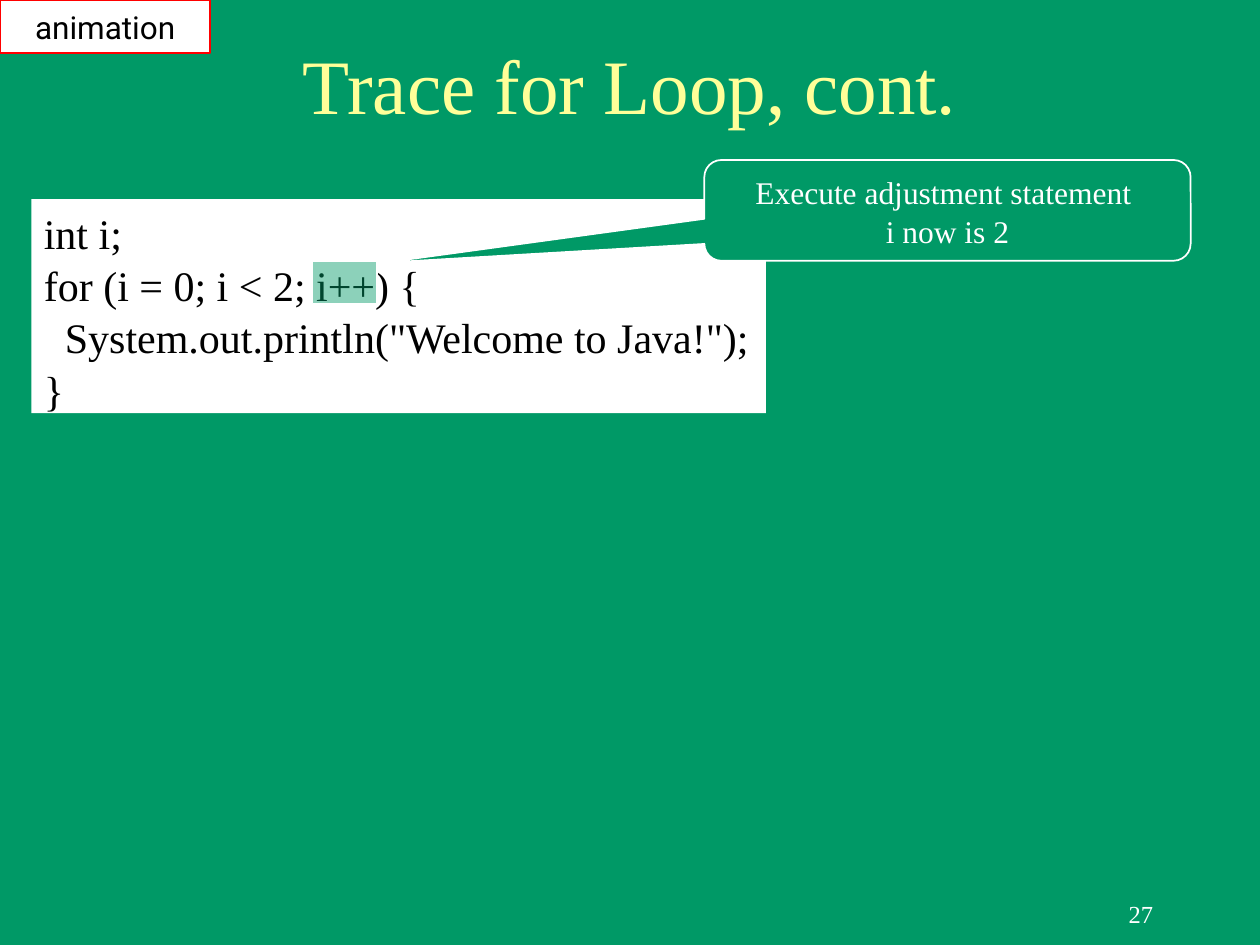
from pptx import Presentation, util as u
from pptx.dml.color import RGBColor
from pptx.enum import shapes, text
from pptx.oxml.ns import qn
from lxml import etree

SERIF = "Times New Roman"
GREEN, WHITE, YELLOW, BLACK, RED = "009966", "FFFFFF", "FFFF99", "000000", "FF0000"
LEFT, CENTER, RIGHT = text.PP_ALIGN.LEFT, text.PP_ALIGN.CENTER, text.PP_ALIGN.RIGHT
TOP, MIDDLE = text.MSO_ANCHOR.TOP, text.MSO_ANCHOR.MIDDLE
CODE = [
    "int i;",
    "for (i = 0; i < 2; i++) {",
    '  System.out.println("Welcome to Java!");',
    "}",
]


def color(value):
    return RGBColor.from_string(value)


def write(box, lines, size, ink, font=SERIF, align=CENTER, anchor=TOP,
          wrap=True, spacing=1.0):
    """Fill a box with one paragraph per line."""
    frame = box.text_frame
    frame.word_wrap = wrap
    frame.auto_size = text.MSO_AUTO_SIZE.NONE
    frame.vertical_anchor = anchor
    frame.margin_left = frame.margin_right = u.Inches(0.1)
    frame.margin_top = frame.margin_bottom = u.Inches(0.05)
    for index, line in enumerate(lines):
        para = frame.add_paragraph() if index else frame.paragraphs[0]
        para.alignment = align
        para.line_spacing = spacing
        span = para.add_run()
        span.text = line
        span.font.name = font
        span.font.size = u.Pt(size)
        span.font.color.rgb = color(ink)


def add_panel(page, kind, place, fill, line=None):
    """Add a filled shape, outlined only when a line colour is given."""
    panel = page.shapes.add_shape(kind, *map(u.Inches, place))
    panel.shadow.inherit = False
    panel.fill.solid()
    panel.fill.fore_color.rgb = color(fill)
    if line:
        panel.line.color.rgb = color(line)
        panel.line.width = u.Pt(1)
    else:
        panel.line.fill.background()
    return panel


def set_opacity(panel, percent):
    tint = panel.fill._xPr.find(qn("a:solidFill"))[0]
    etree.SubElement(tint, qn("a:alpha"), val=str(percent * 1000))


def add_title(page, words):
    title = page.shapes.title
    title.left, title.top = u.Inches(0.75), u.Inches(0.25)
    title.width, title.height = u.Inches(8.5), u.Inches(0.83)
    write(title, [words], 44, YELLOW, anchor=MIDDLE)


def add_page_number(page, number):
    box = page.shapes.add_textbox(*map(u.Inches, (7.17, 7, 2.08, 0.5)))
    write(box, [number], 14, WHITE, align=RIGHT, anchor=MIDDLE)


def main():
    deck = Presentation()
    deck.slide_width, deck.slide_height = u.Inches(10), u.Inches(7.5)
    page = deck.slides.add_slide(deck.slide_layouts[5])
    page.background.fill.solid()
    page.background.fill.fore_color.rgb = color(GREEN)
    rectangle = shapes.MSO_SHAPE.RECTANGLE

    add_page_number(page, "27")
    add_title(page, "Trace for Loop, cont.")

    # Code listing with the active expression highlighted
    listing = add_panel(page, rectangle, (0.25, 1.58, 5.83, 1.7), WHITE)
    write(listing, CODE, 24, BLACK, align=LEFT, spacing=1.04)
    highlight = add_panel(page, rectangle, (2.48, 2.07, 0.51, 0.34), GREEN, WHITE)
    set_opacity(highlight, 45)

    # Callout pointing at the highlight
    callout = add_panel(page, shapes.MSO_SHAPE.ROUNDED_RECTANGULAR_CALLOUT,
                        (5.59, 1.27, 3.86, 0.8), GREEN, WHITE)
    for index, value in enumerate((-1.16, 0.52, 0.17)):
        callout.adjustments[index] = value
    write(callout, ["Execute adjustment statement ", "i now is 2"], 18, WHITE,
          spacing=1.04)

    # Corner tag
    tag = add_panel(page, rectangle, (0, 0, 1.67, 0.42), WHITE, RED)
    write(tag, ["animation"], 18, BLACK, font="Roboto", anchor=MIDDLE, wrap=False)

    deck.save("out.pptx")


if __name__ == "__main__":
    main()
